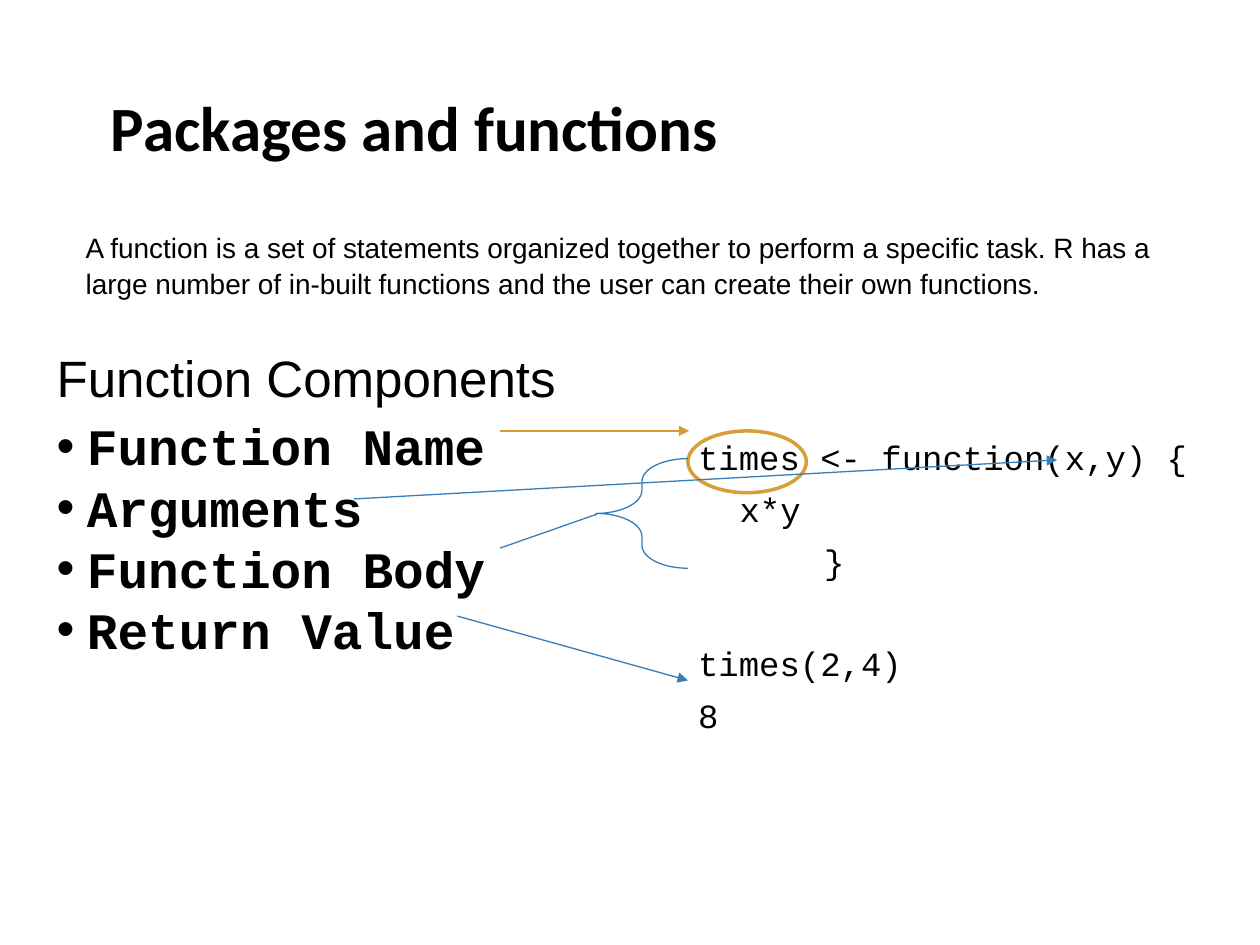
from lxml.etree import SubElement
from pptx import Presentation
from pptx.dml.color import RGBColor
from pptx.enum.shapes import MSO_CONNECTOR, MSO_SHAPE
from pptx.enum.text import MSO_ANCHOR, MSO_AUTO_SIZE, PP_ALIGN
from pptx.oxml.ns import qn
from pptx.util import Inches, Pt

COLORS = {"text": "000000", "gold": "D79D34", "ring": "D89F39", "blue": "367EB9"}


def write(para, text, size=16, font="Arial", bold=False, before=0, after=0,
          line=1.0, left=0, bullet=False):
    """Fill one paragraph and format it."""
    run = para.add_run()
    run.text = text
    run.font.size = Pt(size)
    run.font.name = font
    run.font.bold = bold
    run.font.color.rgb = RGBColor.from_string(COLORS["text"])
    para.alignment = PP_ALIGN.LEFT
    para.space_before, para.space_after = Pt(before), Pt(after)
    para.line_spacing = line
    props = para._p.get_or_add_pPr()
    props.set("marL", str(Inches(left)))
    props.set("indent", str(Inches(-left if bullet else 0)))
    if bullet:
        SubElement(props, qn("a:buFont"), typeface="Arial")
        SubElement(props, qn("a:buChar"), char="•")
    else:
        SubElement(props, qn("a:buNone"))


class Deck:
    def __init__(self, wide, high):
        self.prs = Presentation()
        self.prs.slide_width, self.prs.slide_height = Inches(wide), Inches(high)
        self.slide = self.prs.slides.add_slide(self.prs.slide_layouts[1])
        self.shapes = self.slide.shapes

    def fill(self, shape, rows, inset, anchor=MSO_ANCHOR.TOP):
        """Write rows of (text, format) into a shape."""
        frame = shape.text_frame
        frame.word_wrap = True
        frame.auto_size = MSO_AUTO_SIZE.NONE
        frame.vertical_anchor = anchor
        frame.margin_left = frame.margin_right = Inches(inset[0])
        frame.margin_top = frame.margin_bottom = Inches(inset[1])
        for i, (text, style) in enumerate(rows):
            para = frame.add_paragraph() if i else frame.paragraphs[0]
            write(para, text, **style)

    def holder(self, index, box, text, anchor=MSO_ANCHOR.TOP, **style):
        shape = self.slide.placeholders[index]
        shape.left, shape.top, shape.width, shape.height = map(Inches, box)
        self.fill(shape, [(text, style)], (0.1, 0.1), anchor)

    def text(self, box, rows):
        self.fill(self.shapes.add_textbox(*map(Inches, box)), rows, (0.07, 0.04))

    def stroke(self, shape, color, width):
        shape.line.color.rgb = RGBColor.from_string(COLORS[color])
        shape.line.width = Pt(width)

    def outline(self, kind, box, color, width):
        shape = self.shapes.add_shape(kind, *map(Inches, box))
        shape.shadow.inherit = False
        shape.fill.background()
        self.stroke(shape, color, width)
        return shape

    def link(self, start, end, color, arrow=True):
        line = self.shapes.add_connector(
            MSO_CONNECTOR.STRAIGHT, *map(Inches, start + end))
        self.stroke(line, color, 0.75)
        if arrow:
            SubElement(line.line._get_or_add_ln(), qn("a:tailEnd"), type="triangle")
        SubElement(line._element.spPr, qn("a:effectLst"))


def main():
    deck = Deck(10, 7.5)

    # Title and definition
    deck.holder(0, (0.78, 0.74, 6.89, 0.66), "Packages and functions",
                MSO_ANCHOR.BOTTOM, size=36, font="Calibri", bold=True)
    deck.holder(1, (0.58, 1.72, 8.79, 1.04),
                "A function is a set of statements organized together to perform "
                "a specific task. R has a large number of in-built functions and "
                "the user can create their own functions.", line=1.05)

    # Components list
    parts = ["Function Name", "Arguments", "Function Body", "Return Value"]
    item = dict(size=29.2, font="Courier New", bold=True, left=0.24, bullet=True)
    rows = [("Function Components", dict(size=29.2, after=4))]
    deck.text((0.38, 2.71, 4.62, 2.9), rows + [(part, item) for part in parts])

    # Code sample: text, indent, space after
    code = [("times <- function(x,y) {", 0, 7.2), ("x*y", 0.33, 7.2),
            ("}", 1, 35.8), ("times(2,4)", 0, 7.2), ("8", 0, 0)]
    deck.text((5.47, 3.44, 4.15, 2.58), [
        (text, dict(size=19.4, font="Courier New", line=0.97, left=left, after=after))
        for text, left, after in code])

    # Function name
    deck.link((3.97, 3.42), (5.47, 3.42), "gold")
    deck.outline(MSO_SHAPE.OVAL, (5.46, 3.42, 0.94, 0.49), "ring", 2)

    # Arguments
    deck.link((2.81, 3.96), (8.39, 3.65), "blue")

    # Function body
    brace = deck.outline(MSO_SHAPE.LEFT_BRACE, (4.73, 3.64, 0.73, 0.87), "blue", 0.75)
    brace.adjustments[0] = 0.25
    deck.link((3.97, 4.35), (4.74, 4.08), "blue", arrow=False)

    # Return value
    deck.link((3.63, 4.89), (5.46, 5.4), "blue")

    deck.prs.save("out.pptx")


if __name__ == "__main__":
    main()
